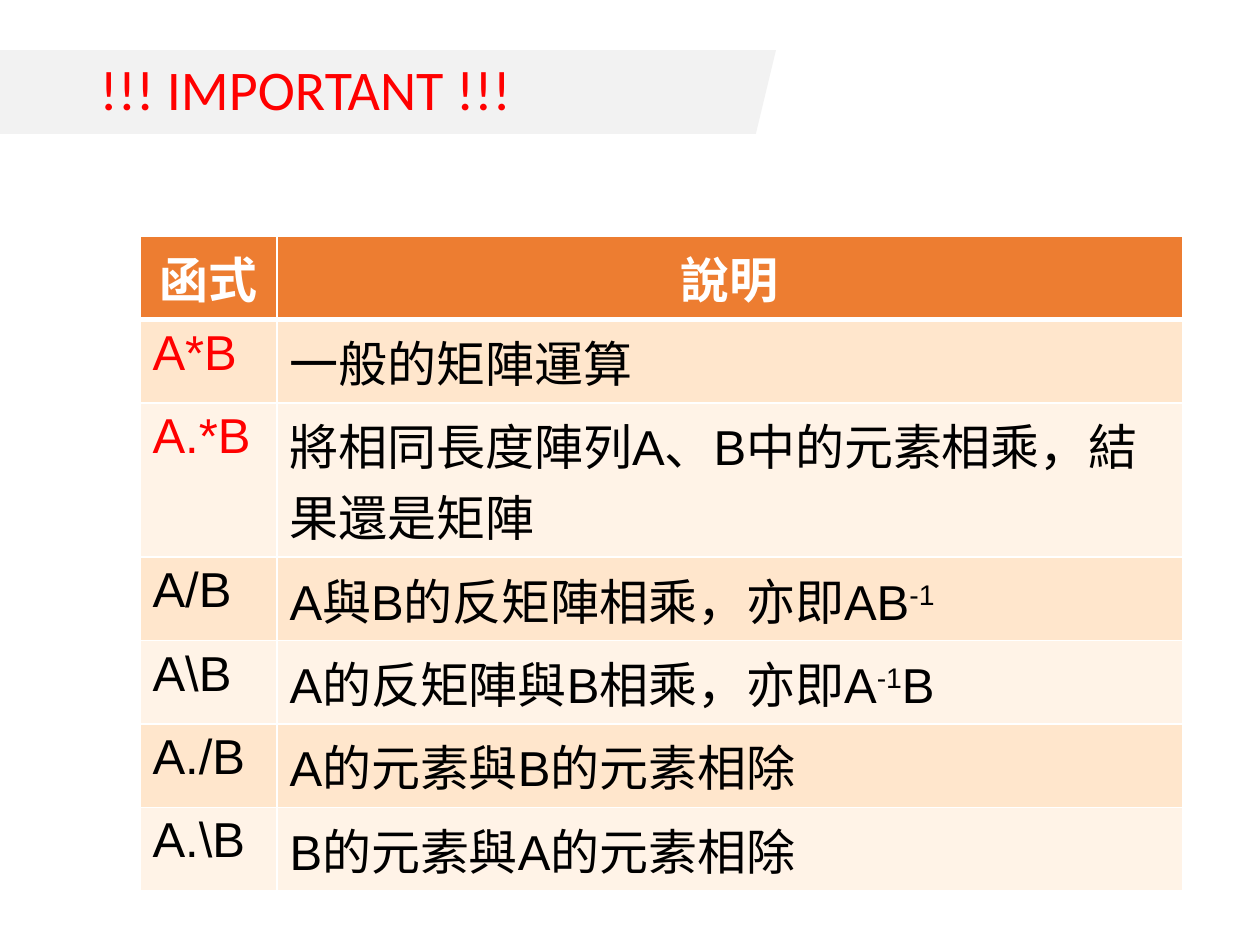
from dataclasses import dataclass

from lxml import etree
from pptx import Presentation
from pptx.dml.color import RGBColor
from pptx.enum.shapes import MSO_SHAPE
from pptx.enum.text import MSO_ANCHOR, PP_ALIGN
from pptx.oxml.ns import qn
from pptx.util import Pt

SLANT = MSO_SHAPE.PARALLELOGRAM
MIDDLE = MSO_ANCHOR.MIDDLE
LEFT, CENTER = PP_ALIGN.LEFT, PP_ALIGN.CENTER
SCALE = 914400 / 126


@dataclass(frozen=True)
class Theme:
    white: str = "FFFFFF"
    black: str = "000000"
    red: str = "FF0000"
    band: str = "F2F2F2"
    head: str = "ED7D31"
    odd: str = "FFE6CC"
    even: str = "FFF3E7"
    title: int = 32
    body: int = 28


theme = Theme()


def px(*vals):
    return [round(val * SCALE) for val in vals]


def style(para, face, size, color, bold, align):
    font = para.font
    font.name, font.size, font.bold = face, Pt(size), bold
    font.color.rgb = RGBColor.from_string(color)
    para.alignment = align


deck = Presentation()
deck.slide_width, deck.slide_height = px(1260, 945)
slide = deck.slides.add_slide(deck.slide_layouts[5])

band = slide.shapes.add_shape(SLANT, *px(-24, 50, 800, 84))
band.adjustments[0] = 0.24
band.shadow.inherit = False
band.fill.solid()
band.fill.fore_color.rgb = RGBColor.from_string(theme.band)
band.line.fill.background()

title = slide.shapes.title
band.element.addnext(title.element)
title.left, title.top, title.width, title.height = px(87, 50, 704, 84)
title.text_frame.text = "!!! IMPORTANT !!!"
title.text_frame.vertical_anchor = MIDDLE
para = title.text_frame.paragraphs[0]
para.line_spacing = 0.9
style(para, "Calibri", theme.title, theme.red, False, LEFT)

rows = [
    ("函式", "說明"),
    ("A*B", "一般的矩陣運算"),
    ("A.*B", "將相同長度陣列A、B中的元素相乘，結果還是矩陣"),
    ("A/B", "A與B的反矩陣相乘，亦即AB^-1"),
    ("A\\B", "A的反矩陣與B相乘，亦即A^-1^B"),
    ("A./B", "A的元素與B的元素相除"),
    ("A.\\B", "B的元素與A的元素相除"),
]
tall = 2
grid = slide.shapes.add_table(len(rows), 2, *px(140, 236, 1043, 581)).table
for col, width in zip(grid.columns, px(137, 906)):
    col.width = width

for i, row in enumerate(rows):
    grid.rows[i].height = px(135 if i == tall else 74)[0]
    fill = theme.head if i == 0 else theme.odd if i % 2 else theme.even
    for j, text in enumerate(row):
        cell = grid.cell(i, j)
        props = cell._tc.get_or_add_tcPr()
        for side in "LRTB":
            thick = (i, side) in [(0, "B"), (1, "T")]
            line = etree.SubElement(props, qn(f"a:ln{side}"), w=str(Pt(3 if thick else 1)))
            paint = etree.SubElement(line, qn("a:solidFill"))
            etree.SubElement(paint, qn("a:srgbClr"), val=theme.white)
        cell.fill.solid()
        cell.fill.fore_color.rgb = RGBColor.from_string(fill)

        para = cell.text_frame.paragraphs[0]
        for k, part in enumerate(text.split("^")):
            run = para.add_run()
            run.text = part
            if k % 2:
                run._r.get_or_add_rPr().set("baseline", "30000")
        key = j == 0 and i in (1, 2)
        color = theme.white if i == 0 else theme.red if key else theme.black
        style(para, "Arial", theme.body, color, i == 0, LEFT if i else CENTER)

deck.save("out.pptx")
